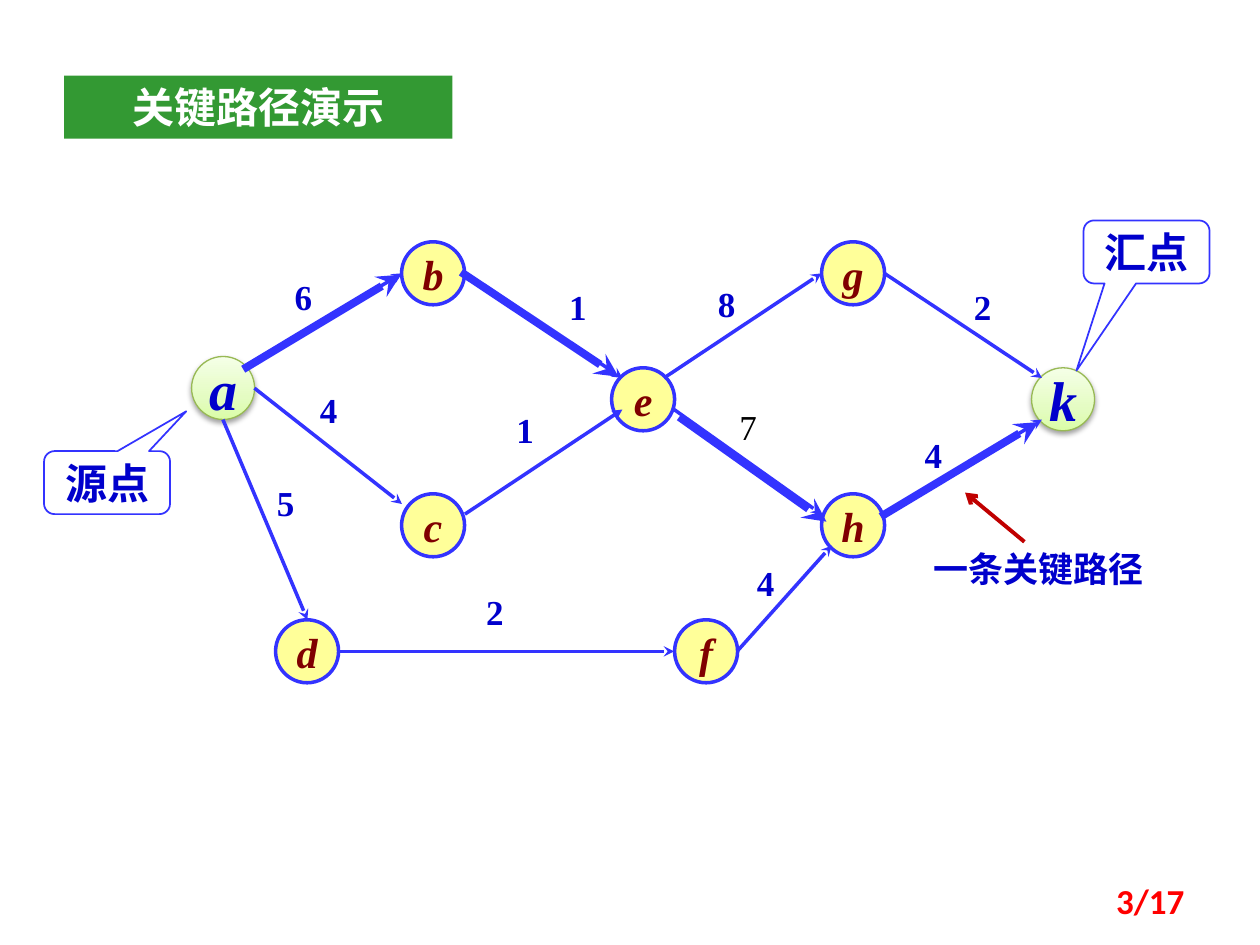
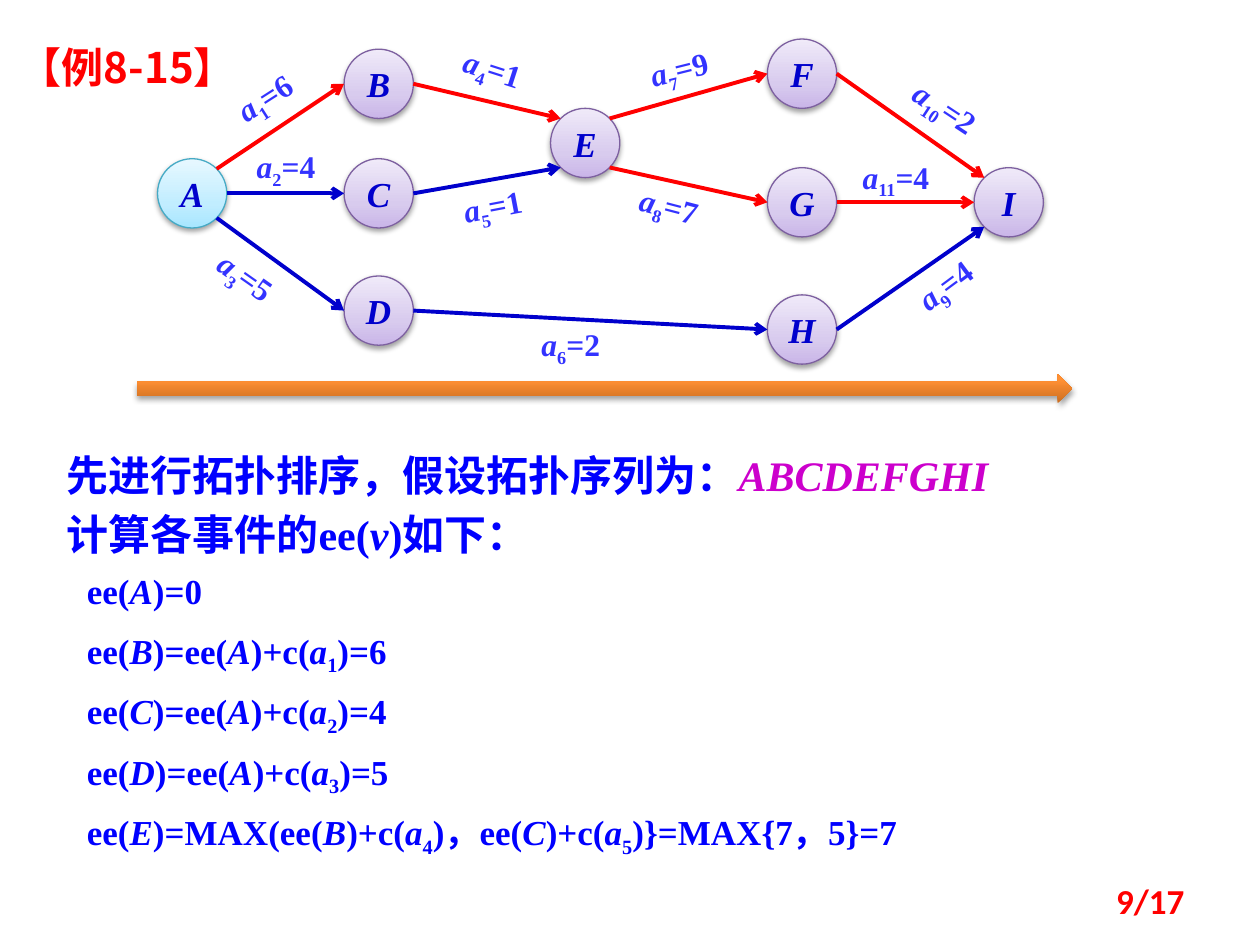
from copy import deepcopy
from dataclasses import dataclass
from math import sqrt

from lxml.etree import SubElement
from pptx import Presentation
from pptx.dml.color import RGBColor as RGB
from pptx.enum.shapes import MSO_CONNECTOR as Link, MSO_SHAPE as Form
from pptx.enum.text import MSO_ANCHOR as Anchor, MSO_AUTO_SIZE as Fit, PP_ALIGN as Align
from pptx.oxml.ns import qn
from pptx.util import Pt


@dataclass(frozen=True)
class Theme:
    """Colours, fonts and type sizes of the deck."""
    serif: str = "Times New Roman"
    hei: str = "Noto Sans CJK SC"
    sans: str = "Calibri"
    white: str = "FFFFFF"
    black: str = "000000"
    red: str = "FF0000"
    navy: str = "0000CC"
    blue: str = "0000FF"
    edge: str = "3333FF"
    brick: str = "C00000"
    maroon: str = "800000"
    yellow: str = "FFFF99"
    green: str = "339933"
    pink: str = "CC00CC"
    lime: tuple = ((0, "DAFDA7"), (0.35, "E4FCC2"), (1, "F5FFE7"))
    sky: tuple = ((0, "A7E6FF"), (0.35, "C1EDFF"), (1, "E7F8FF"))
    lilac: tuple = ((0, "C9B5E8"), (0.35, "D8CBEE"), (1, "F0EAF9"))
    orange: tuple = ((0, "CC6E20"), (0.8, "FF9034"), (1, "FF9136"))
    rim_lime: str = "98B955"
    rim_sky: str = "46AAC5"
    rim_lilac: str = "7D60A0"
    big: int = 32
    head: int = 24
    body: int = 20
    small: int = 18


T = Theme()

SPOTS = {"a": (0, 0.91), "b": (1, 0), "c": (1, 2), "d": (0.4, 3), "e": (2, 1),
         "f": (2.3, 3), "g": (3, 0), "h": (3, 2), "k": (4, 1)}
THIN = [(139.7, 210.2, 229.7, 156.2), (265.7, 156.2, 355.7, 216),
        (379.4, 216, 469.4, 156.2), (505.4, 293.8, 595.4, 239.8),
        (385.2, 234, 469.4, 293.8), (145.4, 221.8, 229.7, 288),
        (265.7, 293.8, 355.7, 234), (193.7, 372.2, 385.2, 372.2),
        (421.2, 372.2, 475.2, 311.8), (127.4, 239.8, 175.7, 354.2),
        (505.4, 156.2, 595.4, 216)]
THICK = [(139, 211, 229, 157), (388.1, 238.3, 472.3, 298.1),
         (503.3, 295.2, 593.3, 241.2), (263.5, 155.5, 353.5, 215.3)]
COSTS = [("6", 161.3, 154.1, False), ("4", 175.7, 218.2, True),
         ("5", 151.2, 271.4, True), ("2", 270.7, 334.1, True),
         ("1", 318.2, 159.8, False), ("1", 288, 229.7, True),
         ("8", 403.2, 157.7, False), ("2", 549.4, 159.8, True),
         ("4", 521.3, 244.1, False), ("4", 425.5, 317.5, True)]

EVENTS = {"A": (90, 90.7), "B": (196.6, 28.1), "C": (196.6, 90.7),
          "D": (196.6, 157.7), "E": (314.6, 61.9), "F": (438.5, 22.3),
          "G": (438.5, 95.8), "H": (438.5, 168.5), "I": (556.6, 95.8)}
DIAG = sqrt(0.5)
SIDES = {"w": (-1, 0), "e": (1, 0), "nw": (-DIAG, -DIAG), "ne": (DIAG, -DIAG),
         "sw": (-DIAG, DIAG), "se": (DIAG, DIAG)}
TASKS = [("A", "ne", "B", "w", T.red), ("A", "e", "C", "w", T.navy),
         ("A", "se", "D", "w", T.navy), ("B", "e", "E", "nw", T.red),
         ("C", "e", "E", "sw", T.navy), ("E", "ne", "F", "w", T.red),
         ("E", "se", "G", "w", T.red), ("D", "e", "H", "w", T.navy),
         ("F", "e", "I", "nw", T.red), ("G", "e", "I", "w", T.red),
         ("H", "e", "I", "sw", T.navy)]
TAGS = [(1, 6, 117.4, 44.6, -32.7), (2, 4, 129.6, 84.2, 0), (3, 5, 106.6, 146.9, 35.2),
        (4, 1, 247.7, 28.1, 17.8), (5, 1, 247.7, 106.6, -10.8), (6, 2, 292.3, 185.8, 0),
        (7, 9, 354.2, 28.1, -14), (8, 7, 348.5, 106.6, 14.7), (9, 4, 506.2, 151.9, -36.6),
        (10, 2, 506.2, 50.4, 33.4), (11, 4, 478.1, 90, 0)]
SUMS = ["ee(*A*)=0"]
SUMS += [f"ee(*{v}*)=ee(*A*)+c(*a*_{n}_)={c}" for v, n, c in (("B", 1, 6), ("C", 2, 4), ("D", 3, 5))]
SUMS += ["ee(*E*)=MAX(ee(*B*)+c(*a*_4_)，ee(*C*)+c(*a*_5_)}=MAX{7，5}=7"]


def fill_runs(para, text):
    """Split text into runs: *italic* and _subscript_."""
    for i, part in enumerate(text.split("*")):
        for j, bit in enumerate(part.split("_")):
            if bit:
                run = para.add_run()
                run.text = bit
                if i % 2:
                    run.font.italic = True
                if j % 2:
                    run.font._element.set("baseline", "-25000")


def lead(para):
    """Put half a line of space before a paragraph."""
    para.space_before = Pt(0)
    gap = para._p.pPr.find(qn("a:spcBef"))
    gap.remove(gap[0])
    SubElement(gap, qn("a:spcPct"), val="50000")


def write(shape, lines, size, hue, face=T.serif, bold=True, align=Align.CENTER,
          wrap=False, grow=False, space=None, gap=False, inset=None):
    """Set the text of a shape, one paragraph per line."""
    frame = shape.text_frame
    frame.word_wrap = wrap
    frame.auto_size = Fit.SHAPE_TO_FIT_TEXT if grow else Fit.NONE
    frame.vertical_anchor = Anchor.TOP if grow else Anchor.MIDDLE
    if inset is not None:
        frame.margin_left = frame.margin_right = Pt(inset)
        frame.margin_top = frame.margin_bottom = Pt(inset)
    for i, line in enumerate(lines):
        para = frame.add_paragraph() if i else frame.paragraphs[0]
        para.alignment = align
        if space:
            para.line_spacing = space
        if gap:
            lead(para)
        font = para.font
        font.name, font.size, font.bold = face, Pt(size), bold
        font.color.rgb = RGB.from_string(hue)
        SubElement(font._element, qn("a:ea"), typeface=T.hei)
        fill_runs(para, line)
    return frame


def box(slide, x, y, w, h, lines, size, hue, **style):
    """Add a text box."""
    shape = slide.shapes.add_textbox(Pt(x), Pt(y), Pt(w), Pt(h))
    write(shape, lines, size, hue, **style)
    return shape


def rule(line, hue, width):
    """Style an outline."""
    line.color.rgb = RGB.from_string(hue)
    line.width = Pt(width)


def shade(shape, stops):
    """Fill with an upward gradient and cast a soft shadow."""
    shape.fill.gradient()
    shape.fill.gradient_angle = 90
    props = shape._element.spPr
    tree = props.find(".//" + qn("a:gsLst"))
    tree.append(deepcopy(tree[-1]))
    for stop, (place, hue) in zip(shape.fill.gradient_stops, stops):
        stop.position = place
        stop.color.rgb = RGB.from_string(hue)
    cast = SubElement(props.find(qn("a:effectLst")), qn("a:outerShdw"), blurRad=str(Pt(3.1)),
                      dist=str(Pt(1.7)), dir="5400000", rotWithShape="0")
    tint = SubElement(cast, qn("a:srgbClr"), val=T.black)
    SubElement(tint, qn("a:alpha"), val="37000")


def form(slide, kind, x, y, w, h, fill, rim=None, width=1):
    """Add a preset shape with a plain or gradient fill."""
    shape = slide.shapes.add_shape(kind, Pt(x), Pt(y), Pt(w), Pt(h))
    if rim:
        rule(shape.line, rim, width)
    else:
        shape.line.fill.background()
    shape.shadow.inherit = False
    if isinstance(fill, tuple):
        shade(shape, fill)
    else:
        shape.fill.solid()
        shape.fill.fore_color.rgb = RGB.from_string(fill)
    return shape


def node(slide, name, x, y, side, fill, rim, width, size, hue):
    """Add a round graph node."""
    disc = form(slide, Form.OVAL, x, y, side, side, fill, rim, width)
    write(disc, [f"*{name}*"], size, hue)


def arrow(slide, x1, y1, x2, y2, hue, width, head):
    """Add a straight arrow."""
    link = slide.shapes.add_connector(Link.STRAIGHT, Pt(x1), Pt(y1), Pt(x2), Pt(y2))
    rule(link.line, hue, width)
    props = link._element.spPr
    SubElement(props.find(qn("a:ln")), qn("a:tailEnd"), type=head)
    SubElement(props, qn("a:effectLst"))


def cost(slide, text, x, y, framed, hue=T.navy, bold=True):
    """Add an edge weight."""
    label = box(slide, x, y, 24.5, 31.7, [text], T.body, hue, bold=bold,
                align=Align.LEFT, grow=True)
    if framed:
        rule(label.line, T.white, 1)


def callout(slide, text, x, y, tip):
    """Add a half-clear speech bubble that points at tip."""
    bubble = form(slide, Form.ROUNDED_RECTANGULAR_CALLOUT, x, y, 72, 36, T.white, T.edge)
    for i, value in enumerate(tip):
        bubble.adjustments[i] = value
    tint = bubble._element.spPr.find(qn("a:solidFill"))[0]
    SubElement(tint, qn("a:alpha"), val="50000")
    write(bubble, [text], T.head, T.navy, face=T.hei)


def folio(slide, number):
    """Add the page number."""
    box(slide, 516.2, 500.4, 167.8, 28.8, [f"{number}/17"], T.body, T.red,
        face=T.sans, align=Align.RIGHT, wrap=True)


def path_slide(slide):
    """Draw the critical path demo."""
    cost(slide, "7", 415.4, 228.2, True, T.black, False)
    for name, (col, row) in SPOTS.items():
        look = ((T.lime, T.rim_lime, 0.75, T.big, T.navy) if name in "ak"
                else (T.yellow, T.edge, 2, T.head, T.maroon))
        node(slide, name, 109.5 + 120 * col, 138.2 + 72 * row, 36, *look)
    for item in COSTS:
        cost(slide, *item)
    for width, ends in ((2, THIN), (4.5, THICK)):
        for line in ends:
            arrow(slide, *line, T.edge, width, "stealth")
    callout(slide, "源点", 25.2, 257.8, (0.628, -1.132))
    callout(slide, "汇点", 619.2, 126, (-0.557, 1.885))
    band = form(slide, Form.RECTANGLE, 36.7, 43.2, 221.8, 36, T.green)
    write(band, ["关键路径演示"], T.head, T.white, face=T.hei, wrap=True, grow=True, gap=True)
    box(slide, 506.2, 309.6, 174.2, 31.7, ["一条关键路径"], T.body, T.navy,
        face=T.hei, wrap=True, grow=True)
    arrow(slide, 585.4, 309.6, 551.5, 281.5, T.brick, 2.25, "arrow")
    folio(slide, 3)


def event_slide(slide):
    """Draw the activity network and its earliest event times."""
    box(slide, 42.5, 324.7, 531.4, 164.9, SUMS, T.body, T.blue,
        align=Align.JUSTIFY, wrap=True, grow=True, space=0.9, gap=True)
    box(slide, 0, 20.2, 146.2, 36, ["【例8-15】"], T.head, T.red,
        face=T.hei, wrap=True, grow=True, gap=True)
    intro = box(slide, 31, 259.9, 607, 66.2,
                ["先进行拓扑排序，假设拓扑序列为：*ABCDEFGHI*", "计算各事件的ee(*v*)如下："],
                T.head, T.blue, align=Align.LEFT, wrap=True, grow=True, space=Pt(22), gap=True)
    order = intro.text_frame.paragraphs[0].runs[-1]
    order.font.color.rgb = RGB.from_string(T.pink)
    side = 39.6
    for name, (x, y) in EVENTS.items():
        look = (T.sky, T.rim_sky) if name == "A" else (T.lilac, T.rim_lilac)
        node(slide, name, x, y, side, *look, 0.75, T.body, T.navy)
    for start, out, end, into, hue in TASKS:
        ends = [at + side / 2 * (1 + way)
                for name, edge in ((start, out), (end, into))
                for at, way in zip(EVENTS[name], SIDES[edge])]
        arrow(slide, *ends, hue, 2.25, "arrow")
    for index, days, x, y, turn in TAGS:
        tag = box(slide, x, y, 67.7, 22.3, [f"*a*_{index}_={days}"], T.small, T.edge,
                  wrap=True, grow=True, inset=0)
        tag.rotation = turn
    form(slide, Form.RIGHT_ARROW, 78.5, 213.8, 534.2, 16.6, T.orange)
    folio(slide, 9)


def main():
    """Build and save the deck."""
    deck = Presentation()
    deck.slide_width, deck.slide_height = Pt(720), Pt(540)
    for draw in (path_slide, event_slide):
        draw(deck.slides.add_slide(deck.slide_layouts[6]))
    deck.save("out.pptx")


if __name__ == "__main__":
    main()
